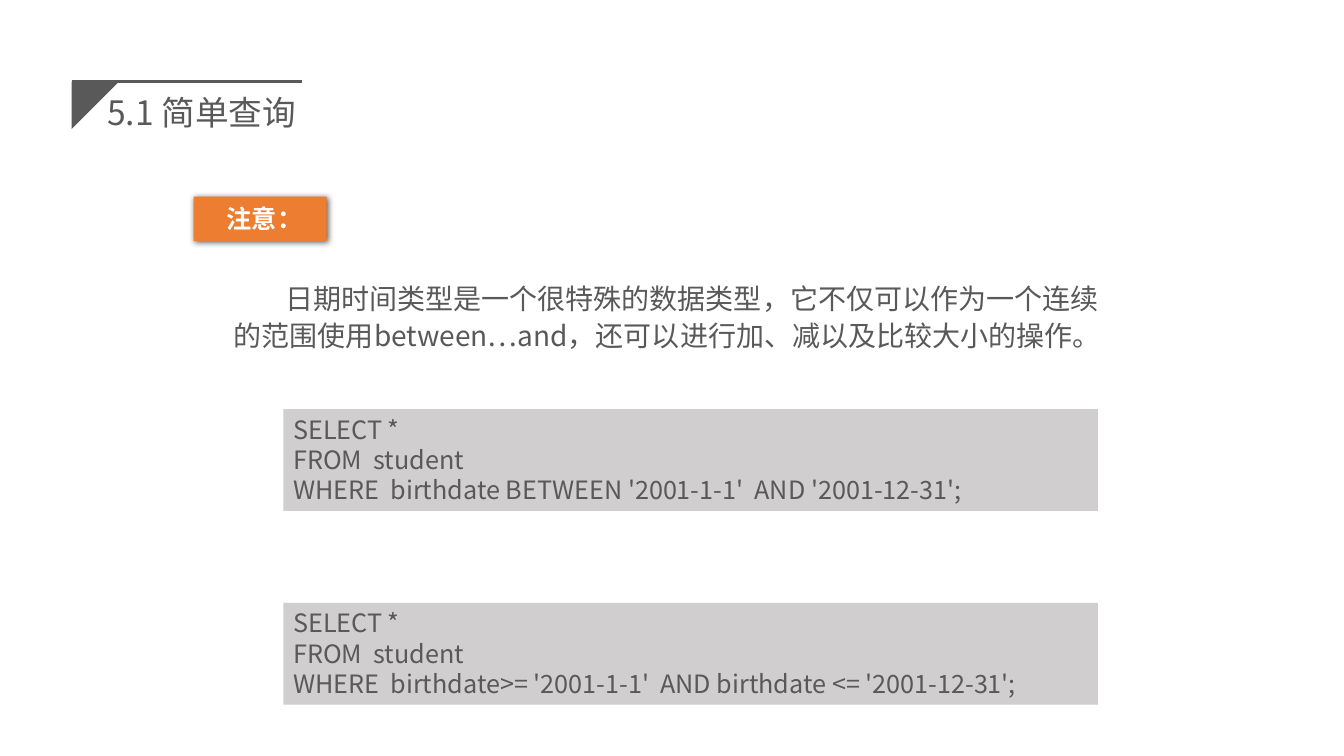
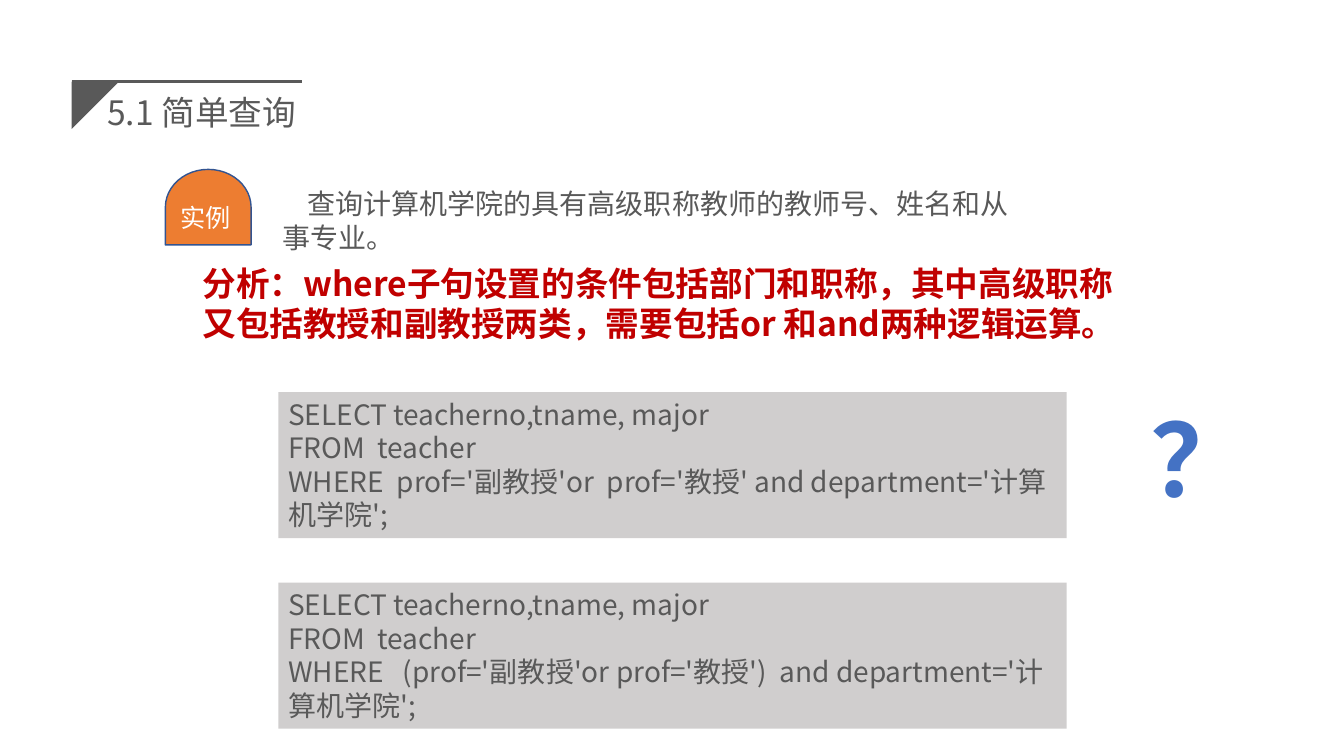
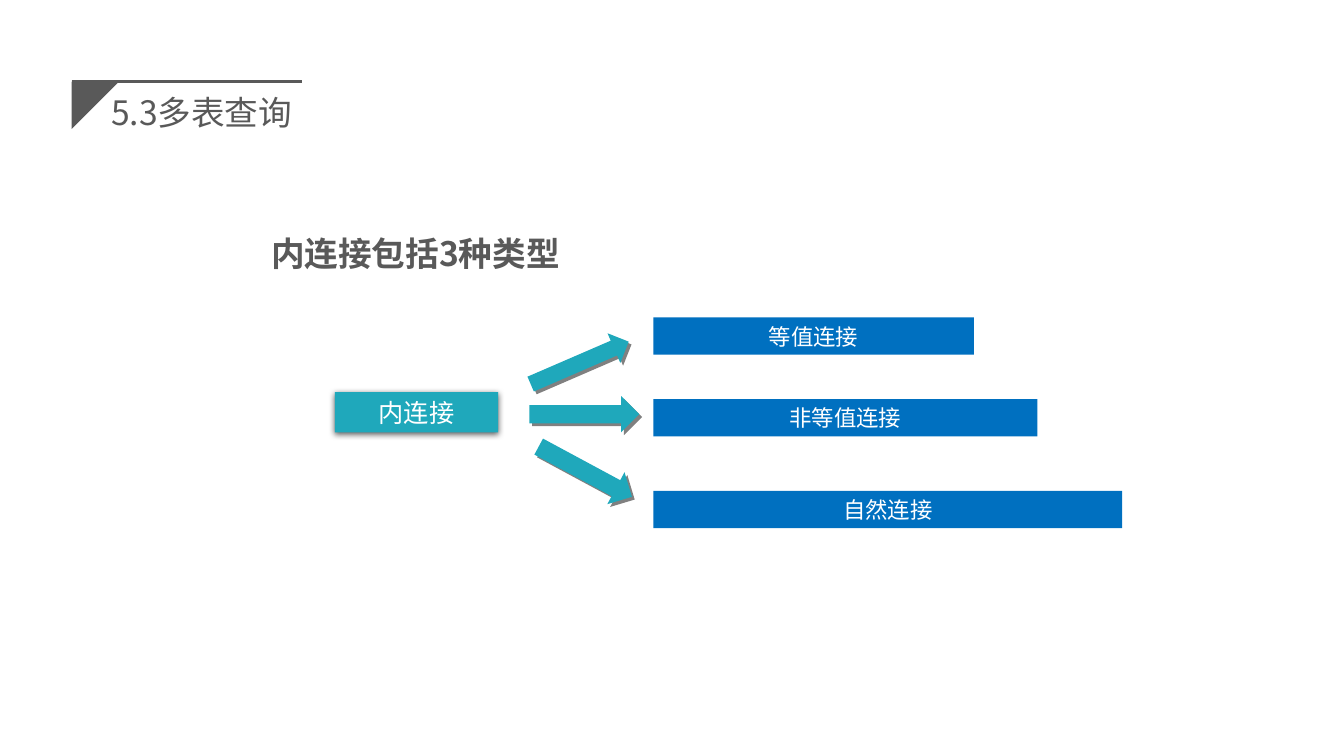
import pptx
import pptx.util
import pptx.dml.color
import pptx.enum.shapes
import pptx.enum.text
import pptx.oxml.ns
import lxml.etree

FONT = "Noto Sans CJK SC"
COLORS = {
    "white": "FFFFFF", "gray": "595959", "code": "D0CECE",
    "orange": "ED7D31", "navy": "325491", "red": "C00000",
    "mark": "4472C4", "teal": "1FA8BB", "blue": "0070C0",
    "black": "000000", "shade": "808080",
}
SHAPES = pptx.enum.shapes.MSO_SHAPE
ALIGN = pptx.enum.text.PP_ALIGN
ANCHOR = pptx.enum.text.MSO_ANCHOR
Inches = pptx.util.Inches
Pt = pptx.util.Pt
qn = pptx.oxml.ns.qn


def color(name):
    return pptx.dml.color.RGBColor.from_string(COLORS[name])


def add_node(parent, tag, **attrs):
    node = lxml.etree.SubElement(parent, qn(tag))
    for key, value in attrs.items():
        node.set(key, str(value))
    return node


def add_shade(shape, tone, alpha, blur, dist, angle):
    effects = shape._element.spPr.find(qn("a:effectLst"))
    outer = add_node(effects, "a:outerShdw", blurRad=Pt(blur), dist=Pt(dist),
                     dir=angle * 60000, algn="ctr", rotWithShape=0)
    tint = add_node(outer, "a:srgbClr", val=COLORS[tone])
    add_node(tint, "a:alpha", val=alpha * 1000)


def write(shape, text, size=18, tone="gray", bold=False, align=ALIGN.LEFT,
          anchor=ANCHOR.TOP, indent=0, pitch=1.2, wrap=True, font=FONT):
    frame = shape.text_frame
    frame.word_wrap = wrap
    frame.vertical_anchor = anchor
    for i, line in enumerate(text.split("\n")):
        para = frame.paragraphs[0] if i == 0 else frame.add_paragraph()
        para.alignment = align
        para.line_spacing = Pt(round(size * pitch, 1))
        if indent:
            para._p.get_or_add_pPr().set("indent", str(Inches(indent)))
        run = para.add_run()
        run.text = line
        run.font.size = Pt(size)
        run.font.bold = bold
        run.font.name = font
        run.font.color.rgb = color(tone)
        add_node(run._r.get_or_add_rPr(), "a:ea", typeface=font)


def add_text(slide, box, text, **style):
    write(slide.shapes.add_textbox(*map(Inches, box)), text, **style)


def paint(shape, fill, edge=None):
    shape.shadow.inherit = False
    shape.fill.solid()
    shape.fill.fore_color.rgb = color(fill)
    if edge:
        shape.line.color.rgb = color(edge)
        shape.line.width = Pt(1)
    else:
        shape.line.fill.background()


def add_shape(slide, kind, box, fill, edge=None, turn=0):
    shape = slide.shapes.add_shape(kind, *map(Inches, box))
    shape.rotation = turn
    paint(shape, fill, edge)
    return shape


def add_label(slide, box, fill, text, **style):
    label = add_shape(slide, SHAPES.RECTANGLE, box, fill)
    write(label, text, anchor=ANCHOR.MIDDLE, **style)
    return label


def add_code(slide, box, text, size):
    write(add_shape(slide, SHAPES.RECTANGLE, box, "code"), text, size=size)


def add_arrow(slide, box, turn):
    arrow = add_shape(slide, SHAPES.RIGHT_ARROW, box, "teal", turn=turn)
    add_shade(arrow, "shade", 100, 0, 2.8, 45)


def start_slide(deck, title):
    slide = deck.slides.add_slide(deck.slide_layouts[6])
    add_text(slide, (0.83, 0.69, 2.34, 0.84), title, size=24,
             align=ALIGN.CENTER, anchor=ANCHOR.MIDDLE)
    left, top, side = Inches(0.71), Inches(0.81), Inches(0.47)
    pen = slide.shapes.build_freeform(left, top)
    pen.add_line_segments([(left + side, top), (left, top + side)])
    paint(pen.convert_to_shape(), "gray")
    rule = slide.shapes.add_connector(
        pptx.enum.shapes.MSO_CONNECTOR.STRAIGHT, left, top, Inches(3), top)
    rule.line.color.rgb = color("gray")
    rule.line.width = Pt(1.75)
    add_node(rule._element.spPr, "a:effectLst")
    return slide


def date_slide(deck):
    slide = start_slide(deck, "5.1 简单查询")
    label = add_label(slide, (1.92, 1.95, 1.32, 0.44), "orange", "注意：",
                      tone="white", bold=True, indent=0.23)
    add_shade(label, "black", 63, 4.5, 1.5, 45)
    add_text(slide, (2.22, 2.72, 8.94, 0.83),
             "日期时间类型是一个很特殊的数据类型，它不仅可以作为一个连续的范围使用"
             "between…and，还可以进行加、减以及比较大小的操作。",
             size=20, indent=0.51, pitch=1.3)
    tests = ["birthdate BETWEEN '2001-1-1'  AND '2001-12-31';",
             "birthdate>= '2001-1-1'  AND birthdate <= '2001-12-31';"]
    for top, test in zip((4.06, 5.98), tests):
        add_code(slide, (2.81, top, 8.08, 1.01),
                 "SELECT *\nFROM  student\nWHERE  " + test, 18)


def logic_slide(deck):
    slide = start_slide(deck, "5.1 简单查询")
    add_text(slide, (2.7, 1.8, 7.65, 1.11),
             "查询计算机学院的具有高级职称教师的教师号、姓名和从事专业。",
             size=20, indent=0.25)
    add_shape(slide, SHAPES.FLOWCHART_DELAY, (1.69, 1.63, 0.75, 0.85),
              "orange", edge="navy", turn=270)
    add_text(slide, (1.69, 1.96, 0.93, 0.4), "实例", tone="white")
    add_text(slide, (1.91, 2.56, 9.51, 0.91),
             "分析：where子句设置的条件包括部门和职称，其中高级职称又包括教授和"
             "副教授两类，需要包括or 和and两种逻辑运算。",
             size=24, tone="red", bold=True)
    tests = ["  prof='副教授'or  prof='教授' and department='计算机学院';",
             "   (prof='副教授'or prof='教授')  and department='计算机学院';"]
    for top, test in zip((3.89, 5.78), tests):
        add_code(slide, (2.76, top, 7.82, 1.45),
                 "SELECT teacherno,tname, major\nFROM  teacher\nWHERE" + test, 20)
    add_text(slide, (11.31, 3.89, 1.2, 1.31), "？", size=72, tone="mark",
             bold=True, align=ALIGN.CENTER, wrap=False, font="Calibri")


def join_slide(deck):
    slide = start_slide(deck, "5.3多表查询")
    add_text(slide, (2.59, 2.26, 4.46, 0.5), "内连接包括3种类型", size=24,
             bold=True, anchor=ANCHOR.MIDDLE)
    root = add_label(slide, (3.32, 3.89, 1.62, 0.4), "teal", "内连接",
                     tone="white", align=ALIGN.CENTER)
    add_shade(root, "black", 63, 4.5, 1.5, 90)
    joins = [("等值连接", 3.15, 3.18), ("非等值连接", 3.96, 3.81),
             ("自然连接", 4.87, 4.65)]
    for text, top, width in joins:
        add_label(slide, (6.48, top, width, 0.37), "blue", text, size=16,
                  tone="white", align=ALIGN.CENTER)
    add_arrow(slide, (5.22, 3.44, 1.06, 0.32), -23.4)
    add_arrow(slide, (5.25, 3.93, 1.09, 0.36), 0)
    add_arrow(slide, (5.28, 4.5, 1.05, 0.36), 28.3)


def main():
    deck = pptx.Presentation()
    deck.slide_width = Inches(13.33)
    deck.slide_height = Inches(7.5)
    date_slide(deck)
    logic_slide(deck)
    join_slide(deck)
    deck.save("out.pptx")


if __name__ == "__main__":
    main()
